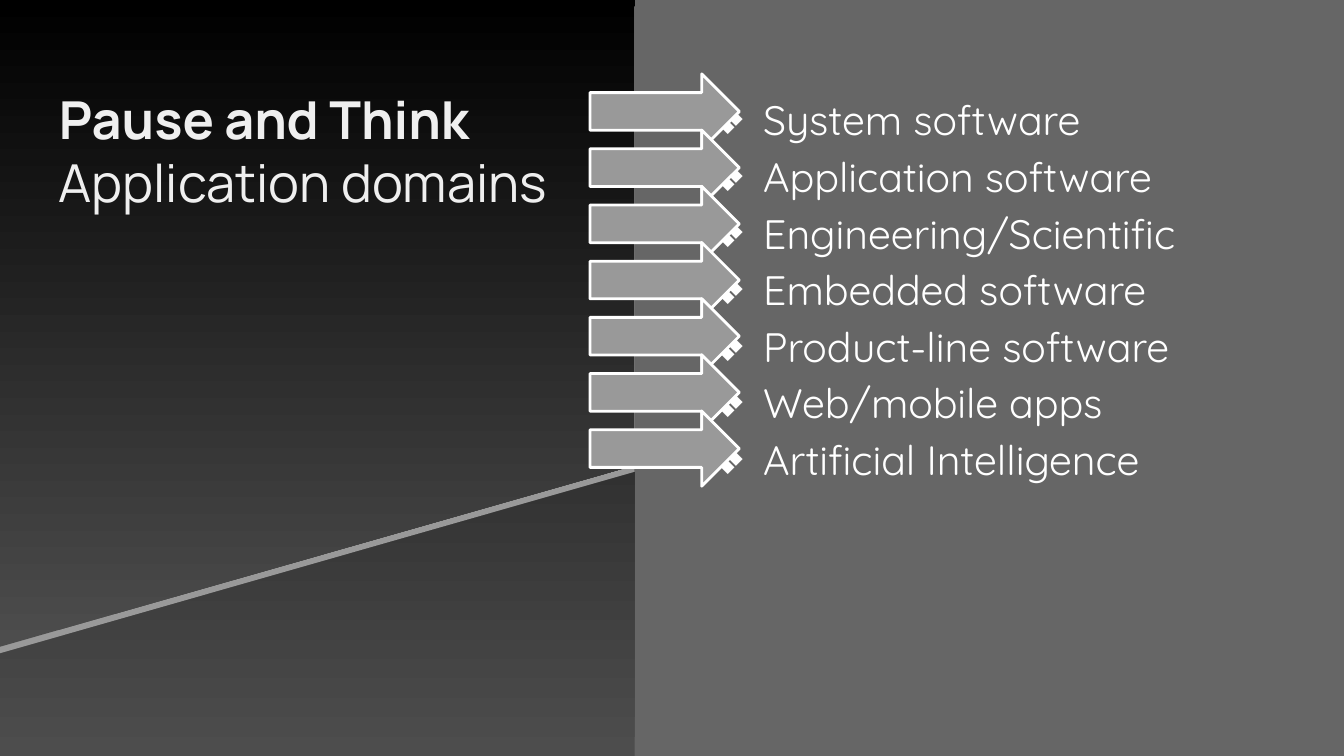
from lxml import etree
from pptx import Presentation
from pptx.dml.color import RGBColor
from pptx.enum import shapes, text
from pptx.oxml.ns import qn
from pptx.util import Pt

WHITE = RGBColor(0xFF, 0xFF, 0xFF)
OFF_WHITE = RGBColor(0xEF, 0xEF, 0xEF)
LIGHT_GREY = RGBColor(0x99, 0x99, 0x99)
MID_GREY = RGBColor(0x66, 0x66, 0x66)
DARK_GREY = RGBColor(0x4D, 0x4D, 0x4D)
BLACK = RGBColor(0, 0, 0)

PANEL_WIDTH = 340
DOMAINS = [
    "System software",
    "Application software",
    "Engineering/Scientific",
    "Embedded software",
    "Product-line software",
    "Web/mobile apps",
    "Artificial Intelligence",
]


def fade_to_black(shape):
    """Fill with dark grey at the bottom, black at the top, and no outline."""
    shape.shadow.inherit = False
    shape.line.fill.background()
    shape.fill.gradient()
    shape.fill.gradient_angle = 90
    for stop, color, position in zip(shape.fill.gradient_stops, (DARK_GREY, BLACK), (0, 1)):
        stop.color.rgb = color
        stop.position = position


def add_text_frame(left, top, width, height):
    frame = slide.shapes.add_textbox(Pt(left), Pt(top), Pt(width), Pt(height)).text_frame
    frame.word_wrap = True
    frame.vertical_anchor = text.MSO_ANCHOR.TOP
    frame.margin_left = frame.margin_right = Pt(7.2)
    frame.margin_top = frame.margin_bottom = Pt(7.2)
    return frame


presentation = Presentation()
presentation.slide_width = Pt(720)
presentation.slide_height = Pt(405)
slide = presentation.slides.add_slide(presentation.slide_layouts[6])
slide.background.fill.solid()
slide.background.fill.fore_color.rgb = MID_GREY

# Left panel: a grey slanted sheet shows as a stripe below the dark one
panel = slide.shapes.add_shape(
    shapes.MSO_SHAPE.RECTANGLE, 0, 0, Pt(PANEL_WIDTH), Pt(405))
fade_to_black(panel)

slanted_sheets = []
for top, right_bottom, left_bottom in ((3.5, 252.8, 350), (0, 249.3, 346.5)):
    builder = slide.shapes.build_freeform(0, Pt(top))
    builder.add_line_segments([
        (Pt(PANEL_WIDTH), Pt(top)),
        (Pt(PANEL_WIDTH), Pt(right_bottom)),
        (0, Pt(left_bottom)),
    ])
    slanted_sheets.append(builder.convert_to_shape())
stripe, dark_sheet = slanted_sheets
stripe.shadow.inherit = False
stripe.fill.solid()
stripe.fill.fore_color.rgb = LIGHT_GREY
stripe.line.fill.background()
fade_to_black(dark_sheet)

# List of domains
domain_frame = add_text_frame(365.8, 39.6, 328.3, 322.6)
for index, domain in enumerate(DOMAINS):
    paragraph = domain_frame.paragraphs[0] if index == 0 else domain_frame.add_paragraph()
    paragraph.text = domain
    paragraph.line_spacing = 1.15
    properties = paragraph._p.get_or_add_pPr()
    properties.set("marL", str(Pt(36)))
    properties.set("indent", str(-Pt(28.8)))
    bullet_color = etree.SubElement(properties, qn("a:buClr"))
    etree.SubElement(bullet_color, qn("a:srgbClr"), val=str(WHITE))
    etree.SubElement(properties, qn("a:buFont"), typeface="Quicksand")
    etree.SubElement(properties, qn("a:buChar"), char="❖")
    paragraph.font.name = "Quicksand"
    paragraph.font.size = Pt(22)
    paragraph.font.color.rgb = WHITE

# Title
title = add_text_frame(24.5, 39.6, 291.6, 197.3).paragraphs[0]
heading = title.add_run()
heading.text = "Pause and Think"
heading.font.bold = True
title.add_line_break()
subheading = title.add_run()
subheading.text = "Application domains"
for run in (heading, subheading):
    run.font.name = "Manrope"
    run.font.size = Pt(28)
    run.font.color.rgb = OFF_WHITE

# One arrow per domain
for index in range(len(DOMAINS)):
    arrow = slide.shapes.add_shape(
        shapes.MSO_SHAPE.RIGHT_ARROW,
        Pt(316.1), Pt(39.6 + 30.1 * index), Pt(80), Pt(40.3))
    arrow.shadow.inherit = False
    arrow.fill.solid()
    arrow.fill.fore_color.rgb = LIGHT_GREY
    arrow.line.color.rgb = WHITE
    arrow.line.width = Pt(1.5)

presentation.save("out.pptx")
